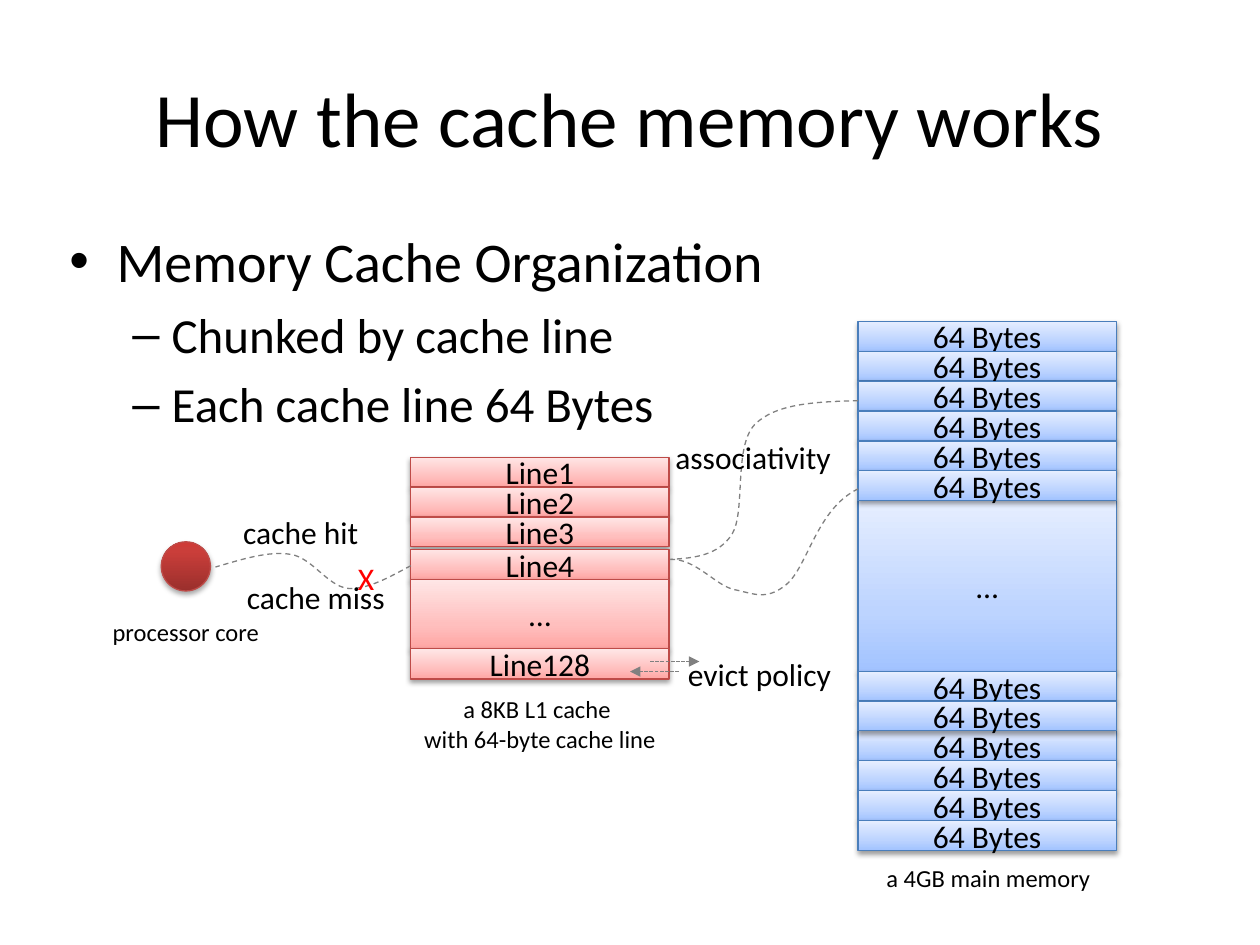
from lxml.etree import SubElement
from pptx import Presentation
from pptx.dml.color import RGBColor
from pptx.enum.dml import MSO_LINE_DASH_STYLE as Dash
from pptx.enum.shapes import MSO_CONNECTOR as Connector, MSO_SHAPE as Shape
from pptx.enum.text import MSO_ANCHOR as Anchor, MSO_AUTO_SIZE as AutoSize, PP_ALIGN as Align
from pptx.oxml.ns import qn
from pptx.util import Inches, Pt

FONT = "Calibri"
BLACK, GRAY, RED = "000000", "808080", "FF0000"
PINK_STOPS = [(0, "FFA5A3"), (35, "FFBFBE"), (100, "FFE6E6")]
BLUE_STOPS = [(0, "A2C3FF"), (35, "BDD4FF"), (100, "E6EEFF")]
CORE_STOPS = [(0, "9A2F2C"), (80, "CA3E3A"), (100, "CE3B37")]
RED_EDGE, BLUE_EDGE = "BE4B48", "4A7EBB"


def color(hex_value):
    """Turn a hex string into a colour."""
    return RGBColor.from_string(hex_value)


def inches(*values):
    """Turn several numbers into lengths."""
    return [Inches(value) for value in values]


def add_run(paragraph, text, size, hex_value=BLACK):
    """Append one formatted run to a paragraph."""
    run = paragraph.add_run()
    run.text = text
    run.font.name = FONT
    run.font.size = Pt(size)
    run.font.color.rgb = color(hex_value)


def add_label(shapes, box, lines, size=18, hex_value=BLACK, align=Align.LEFT,
              anchor=Anchor.TOP, wrap=False):
    """Add a text box with one paragraph for each line."""
    frame = shapes.add_textbox(*inches(*box)).text_frame
    frame.margin_left = frame.margin_right = Inches(0.05)
    frame.margin_top = frame.margin_bottom = Inches(0.05)
    frame.word_wrap = wrap
    frame.auto_size = AutoSize.SHAPE_TO_FIT_TEXT
    frame.vertical_anchor = anchor
    for index, line in enumerate(lines):
        paragraph = frame.add_paragraph() if index else frame.paragraphs[0]
        paragraph.alignment = align
        add_run(paragraph, line, size, hex_value)


def add_glossy_shape(shapes, kind, box, stops, edge, opacity=38, distance=1.6):
    """Add a shape with a vertical gradient, a thin edge and a soft shadow."""
    shape = shapes.add_shape(kind, *inches(*box))
    shape.fill.gradient()
    shape.fill.gradient_angle = 90
    properties = shape._element.spPr
    stop_list = properties.find(qn("a:gradFill")).find(qn("a:gsLst"))
    stop_list.clear()
    for position, hex_value in stops:
        stop = SubElement(stop_list, qn("a:gs"), pos=str(position * 1000))
        SubElement(stop, qn("a:srgbClr"), val=hex_value)
    shape.line.color.rgb = color(edge)
    shape.line.width = Pt(0.75)
    shape.shadow.inherit = False
    shadow = SubElement(properties.find(qn("a:effectLst")), qn("a:outerShdw"),
                        blurRad=str(Pt(3)), dist=str(Pt(distance)), dir="5400000", rotWithShape="0")
    shade = SubElement(shadow, qn("a:srgbClr"), val=BLACK)
    SubElement(shade, qn("a:alpha"), val=str(opacity * 1000))


def add_stack(slide, box, labels, stops, edge):
    """Fill a box with equal cells, each grouped with its centred label."""
    left, top, width, height = box
    cell_height = height / len(labels)
    label_height = 0.41
    for index, label in enumerate(labels):
        cell_top = top + index * cell_height
        group = slide.shapes.add_group_shape()
        add_glossy_shape(group.shapes, Shape.RECTANGLE, (left, cell_top, width, cell_height), stops, edge)
        label_top = cell_top + (cell_height - label_height) / 2
        add_label(group.shapes, (left, label_top, width, label_height), [label],
                  align=Align.CENTER, anchor=Anchor.MIDDLE, wrap=True)


def add_curve(slide, points):
    """Draw a dashed curve from a start point and triples of Bezier points."""
    start, *others = [inches(*point) for point in points]
    builder = slide.shapes.build_freeform(*start)
    builder.add_line_segments(others, close=False)
    shape = builder.convert_to_shape()
    segments = list(shape._element.iter(qn("a:lnTo")))
    outline = segments[0].getparent()
    for first in range(0, len(segments), 3):
        curve = SubElement(outline, qn("a:cubicBezTo"))
        for segment in segments[first:first + 3]:
            curve.append(segment[0])
            outline.remove(segment)
    shape.fill.background()
    shape.shadow.inherit = False
    shape.line.color.rgb = color(GRAY)
    shape.line.width = Pt(0.75)
    shape.line.dash_style = Dash.DASH


def add_arrow(slide, start, end):
    """Draw a dashed arrow between two points."""
    arrow = slide.shapes.add_connector(Connector.STRAIGHT, *inches(*start, *end))
    arrow.line.color.rgb = color(GRAY)
    arrow.line.width = Pt(0.75)
    arrow.line.dash_style = Dash.SQUARE_DOT
    SubElement(arrow.line._get_or_add_ln(), qn("a:tailEnd"), type="triangle")
    SubElement(arrow._element.spPr, qn("a:effectLst"))


def fill_placeholder(placeholder, box, lines):
    """Place a placeholder and write lines of text, level and size."""
    placeholder.left, placeholder.top, placeholder.width, placeholder.height = inches(*box)
    frame = placeholder.text_frame
    frame.margin_left = frame.margin_right = Inches(0.05)
    for index, (text, level, size) in enumerate(lines):
        paragraph = frame.add_paragraph() if index else frame.paragraphs[0]
        paragraph.level = level
        paragraph.space_before = Pt(6 if index else 0)
        add_run(paragraph, text, size)


def add_cache(slide, box):
    """Draw the cache lines and their caption."""
    left, top, width, height = box
    parts = [(0, 0.71, ["Line1", "Line2", "Line3"]), (0.73, 0.24, ["Line4"]),
             (0.97, 0.55, ["…"]), (1.52, 0.24, ["Line128"])]
    for offset, part_height, labels in parts:
        add_stack(slide, (left, top + offset, width, part_height), labels, PINK_STOPS, RED_EDGE)
    add_label(slide.shapes, (left + 0.05, top + height + 0.07, 1.95, 0.57),
              ["a 8KB L1 cache ", "with 64-byte cache line"], 14, align=Align.CENTER)


def add_memory(slide, box):
    """Draw the main memory blocks and their caption."""
    left, top, width, height = box
    block = "64 Bytes"
    parts = [(0, 0.95, [block] * 4), (1.42, 1.36, ["…"]), (3.25, 0.95, [block] * 4),
             (0.95, 0.47, [block] * 2), (2.78, 0.47, [block] * 2)]
    for offset, part_height, labels in parts:
        add_stack(slide, (left, top + offset, width, part_height), labels, BLUE_STOPS, BLUE_EDGE)
    add_label(slide.shapes, (left + 0.17, top + height + 0.05, 1.73, 0.34),
              ["a 4GB main memory"], 14, align=Align.CENTER)


def add_processor(slide, box):
    """Draw the processor core and its caption."""
    left, top, width, height = box
    add_glossy_shape(slide.shapes, Shape.OVAL, box, CORE_STOPS, RED_EDGE, 35, 1.8)
    add_label(slide.shapes, (left - 0.44, top + height + 0.16, 1.27, 0.34),
              ["processor core"], 14, align=Align.CENTER)


def add_associativity(slide, box):
    """Draw the curves from one cache line to two memory blocks."""
    left, top, width, height = box
    right, bottom = left + width, top + height
    add_curve(slide, [(right, top), (right - 0.33, top + 0.01), (left + 0.84, top + 0.02),
                      (left + 0.67, top + 0.19), (left + 0.5, top + 0.37), (left + 0.6, top + 0.88),
                      (left + 0.49, top + 1.06), (left + 0.38, top + 1.23),
                      (left + 0.19, top + 1.25), (left, bottom)])
    add_curve(slide, [(right, top + 0.7), (right - 0.33, top + 0.86), (left + 1.09, top + 1.32),
                      (left + 0.92, top + 1.46), (left + 0.76, top + 1.59), (left + 0.66, top + 1.53),
                      (left + 0.51, top + 1.5), (left + 0.36, top + 1.47),
                      (left + 0.2, top + 1.25), (left, bottom)])
    add_label(slide.shapes, (left - 0.01, top + 0.25, 1.35, 0.41), ["associativity"])


def add_lookup(slide, box):
    """Draw the curve from the core to the cache with hit and miss labels."""
    left, top, width, height = box
    add_curve(slide, [(left + width, top + 0.09), (left + 1.38, top + 0.18), (left + 1.21, top + 0.28),
                      (left + 1.05, top + 0.27), (left + 0.89, top + 0.25), (left + 0.77, top + 0.03),
                      (left + 0.6, top), (left + 0.42, top - 0.03),
                      (left + 0.21, top + 0.04), (left, top + 0.1)])
    add_label(slide.shapes, (left + 0.17, top - 0.38, 1.2, 0.41), ["cache hit"], wrap=True)
    add_label(slide.shapes, (left + 0.2, top + 0.14, 1.3, 0.41), ["cache miss"], wrap=True)
    add_label(slide.shapes, (left + 1.08, top - 0.01, 0.24, 0.41), ["X"], hex_value=RED)


def add_eviction(slide, box):
    """Draw the two opposite arrows and the policy label."""
    left, top, width, height = box
    add_arrow(slide, (left + 0.16, top), (left + width, top))
    add_arrow(slide, (left + 0.39, top + height), (left, top + height))
    add_label(slide.shapes, (left + 0.41, top - 0.1, 1.35, 0.41), ["evict policy"], wrap=True)


def main():
    """Build and save the slide."""
    presentation = Presentation()
    presentation.slide_width, presentation.slide_height = inches(10, 7.5)
    slide = presentation.slides.add_slide(presentation.slide_layouts[1])
    fill_placeholder(slide.shapes.title, (0.5, 0.3, 9, 1.25), [("How the cache memory works", 0, 44)])
    fill_placeholder(slide.placeholders[1], (0.5, 1.75, 9, 4.95),
                     [("Memory Cache Organization", 0, 32), ("Chunked by cache line", 1, 28),
                      ("Each cache line 64 Bytes", 1, 28)])
    add_cache(slide, (3.26, 3.63, 2.05, 1.76))
    add_memory(slide, (6.81, 2.55, 2.05, 4.2))
    add_processor(slide, (1.28, 4.3, 0.39, 0.39))
    add_associativity(slide, (5.32, 3.18, 1.49, 1.26))
    add_lookup(slide, (1.71, 4.4, 1.55, 0.27))
    add_eviction(slide, (5, 5.25, 0.55, 0.08))
    presentation.save("out.pptx")


if __name__ == "__main__":
    main()
